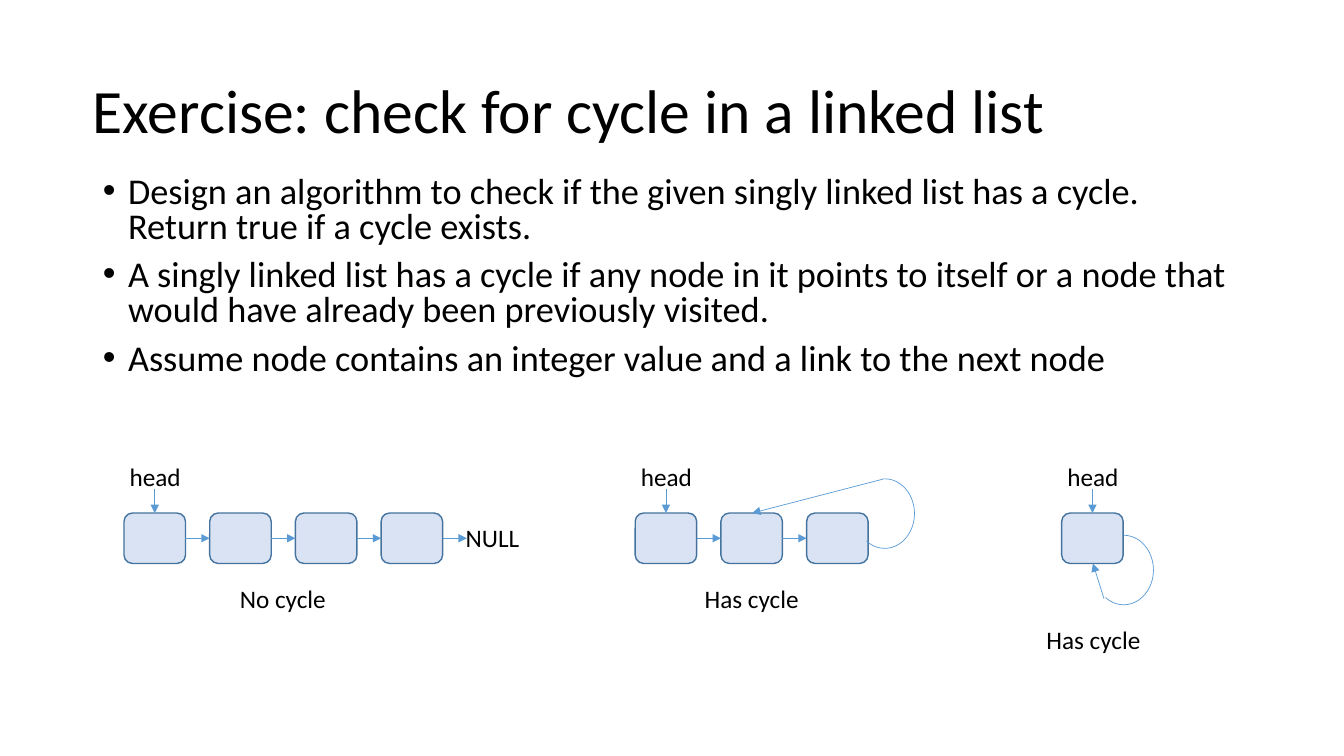
from dataclasses import dataclass

from lxml.etree import SubElement
from pptx import Presentation
from pptx.dml.color import RGBColor
from pptx.enum.shapes import MSO_CONNECTOR as Connector, MSO_SHAPE as Shape
from pptx.enum.text import MSO_ANCHOR as Anchor, MSO_AUTO_SIZE as AutoSize, PP_ALIGN as Align
from pptx.oxml.ns import qn
from pptx.util import Inches, Pt


@dataclass(frozen=True)
class Theme:
    font: str = "Calibri"
    text: RGBColor = RGBColor(0x00, 0x00, 0x00)
    node_fill: RGBColor = RGBColor(0xDA, 0xE3, 0xF3)
    node_line: RGBColor = RGBColor(0x43, 0x73, 0x9E)
    link: RGBColor = RGBColor(0x5B, 0x9B, 0xD5)
    title_size: float = 44
    body_size: float = 25.9
    label_size: float = 18


NODE_WIDTH, NODE_HEIGHT, NODE_STEP = 0.61, 0.5, 0.85
NODE_TOP = 5.09
LINK_Y = 5.34


class LinkedListSlide:
    """Draws linked list diagrams and text on one slide in a shared style."""

    def __init__(self, presentation, theme):
        self.theme = theme
        self.slide = presentation.slides.add_slide(presentation.slide_layouts[1])
        self.shapes = self.slide.shapes

    def place(self, shape, left, top, width, height):
        shape.left, shape.top = Inches(left), Inches(top)
        shape.width, shape.height = Inches(width), Inches(height)

    def format_runs(self, paragraph, size):
        for run in paragraph.runs:
            run.font.name = self.theme.font
            run.font.size = Pt(size)
            run.font.color.rgb = self.theme.text

    def title(self, text, *box):
        shape = self.shapes.title
        self.place(shape, *box)
        frame = shape.text_frame
        frame.text = text
        frame.auto_size = AutoSize.NONE
        frame.vertical_anchor = Anchor.MIDDLE
        paragraph = frame.paragraphs[0]
        paragraph.alignment = Align.LEFT
        paragraph.line_spacing = 0.9
        self.format_runs(paragraph, self.theme.title_size)

    def bullets(self, items, *box):
        shape = self.slide.placeholders[1]
        self.place(shape, *box)
        frame = shape.text_frame
        frame.text = "\n".join(items)
        frame.auto_size = AutoSize.NONE
        for index, paragraph in enumerate(frame.paragraphs):
            properties = paragraph._p.get_or_add_pPr()
            properties.set("marL", str(Inches(0.25)))
            properties.set("indent", str(-Inches(0.25)))
            paragraph.line_spacing = 0.8
            paragraph.space_before = Pt(10 if index else 0)
            self.format_runs(paragraph, self.theme.body_size)

    def label(self, text, left, top, width, alignment=Align.CENTER):
        shape = self.shapes.add_textbox(Inches(left), Inches(top), Inches(width), Inches(0.4))
        frame = shape.text_frame
        frame.word_wrap = True
        frame.auto_size = AutoSize.SHAPE_TO_FIT_TEXT
        frame.text = text
        paragraph = frame.paragraphs[0]
        paragraph.alignment = alignment
        self.format_runs(paragraph, self.theme.label_size)

    def node(self, left):
        shape = self.shapes.add_shape(
            Shape.ROUNDED_RECTANGLE,
            Inches(left), Inches(NODE_TOP), Inches(NODE_WIDTH), Inches(NODE_HEIGHT),
        )
        shape.shadow.inherit = False
        shape.fill.solid()
        shape.fill.fore_color.rgb = self.theme.node_fill
        shape.line.color.rgb = self.theme.node_line
        shape.line.width = Pt(1)

    def arrow(self, *ends):
        connector = self.shapes.add_connector(Connector.STRAIGHT, *map(Inches, ends))
        connector.line.color.rgb = self.theme.link
        connector.line.width = Pt(0.5)
        SubElement(connector.line._get_or_add_ln(), qn("a:tailEnd"), type="triangle")
        SubElement(connector._element.spPr, qn("a:effectLst"))

    def arc(self, left, top):
        shape = self.shapes.add_shape(
            Shape.ARC, Inches(left), Inches(top), Inches(0.59), Inches(0.69)
        )
        shape.shadow.inherit = False
        shape.adjustments[0] = 162
        shape.adjustments[1] = 74.048
        shape.fill.background()
        shape.line.color.rgb = self.theme.link
        shape.line.width = Pt(0.5)

    def linked_list(self, left, count, links):
        for index in range(count):
            self.node(left + index * NODE_STEP)
        for index in range(links):
            start = left + index * NODE_STEP + NODE_WIDTH
            self.arrow(start, LINK_Y, left + (index + 1) * NODE_STEP, LINK_Y)
        middle = left + NODE_WIDTH / 2
        self.arrow(middle, 4.85, middle, NODE_TOP)
        self.label("head", middle - 0.36, 4.53, 0.73)


def main():
    presentation = Presentation()
    presentation.slide_width, presentation.slide_height = Inches(13.33), Inches(7.5)
    slide = LinkedListSlide(presentation, Theme())

    slide.title("Exercise: check for cycle in a linked list", 0.82, 0.4, 11.7, 1.45)
    slide.bullets(
        [
            "Design an algorithm to check if the given singly linked list has a cycle. "
            "Return true if a cycle exists.",
            "A singly linked list has a cycle if any node in it points to itself or a node "
            "that would have already been previously visited.",
            "Assume node contains an integer value and a link to the next node",
        ],
        0.92, 1.7, 11.5, 2.19,
    )

    slide.linked_list(1.23, count=4, links=4)
    slide.label("NULL", 4.52, 5.13, 0.85, Align.LEFT)
    slide.label("No cycle", 1.81, 5.74, 1.99)

    slide.linked_list(6.3, count=3, links=2)
    slide.arc(8.48, 4.75)
    slide.arrow(8.77, 4.75, 7.46, NODE_TOP)
    slide.label("Has cycle", 6.46, 5.74, 1.99)

    slide.linked_list(10.53, count=1, links=0)
    slide.arc(10.85, 5.31)
    slide.arrow(10.95, 5.94, 10.84, NODE_TOP + NODE_HEIGHT)
    slide.label("Has cycle", 9.85, 6.14, 1.99)

    presentation.save("out.pptx")


if __name__ == "__main__":
    main()
